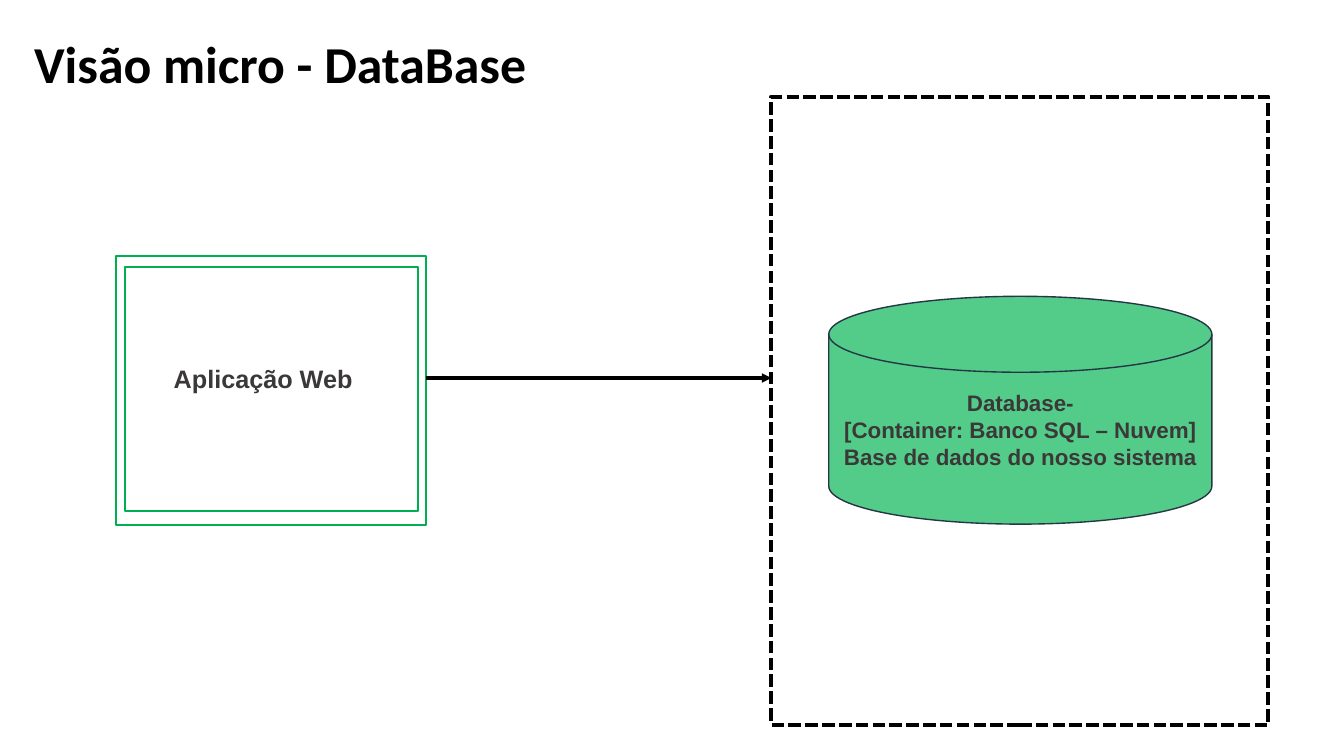
"""Build the slide that shows the web application and its database."""
from lxml import etree
from pptx import Presentation
from pptx.dml.color import RGBColor
from pptx.enum.dml import MSO_LINE
from pptx.enum.shapes import MSO_CONNECTOR, MSO_SHAPE
from pptx.enum.text import MSO_ANCHOR, PP_ALIGN
from pptx.oxml.ns import qn
from pptx.util import Inches, Pt

TITLE = "Visão micro - DataBase"
APP = "Aplicação Web"
STORE = """Database-
[Container: Banco SQL – Nuvem]
Base de dados do nosso sistema"""

BLACK, GRAY, NAVY = "000000", "3B3838", "253746"
GREEN, MINT = "00B050", "53CC89"

DISK = MSO_SHAPE.FLOWCHART_MAGNETIC_DISK
RECT = MSO_SHAPE.RECTANGLE
FRAME = (7.65, 0.96, 4.93, 6.23)
OUTER = (1.15, 2.54, 3.08, 2.67)
INNER = (1.24, 2.65, 2.91, 2.42)
SHAPES = [
    (DISK, (8.22, 2.94, 3.8, 2.26), MINT, NAVY, 1, None),
    (RECT, FRAME, None, BLACK, 3, MSO_LINE.SQUARE_DOT),
    (RECT, OUTER, None, GREEN, 1.5, None),
    (RECT, INNER, None, GREEN, 1.5, None),
]
TEXTS = [
    (TITLE, (0.24, 0.29, 11.32, 0.67), "Calibri", 37, BLACK, PP_ALIGN.LEFT),
    (STORE, (8.14, 3.83, 3.96, 0.86), "Arial", 16, GRAY, PP_ALIGN.CENTER),
    (APP, (1.07, 3.55, 3.08, 0.4), "Arial", 18, GRAY, PP_ALIGN.CENTER),
]


def color(code):
    return RGBColor.from_string(code)


def stroke(line, code, width):
    line.color.rgb = color(code)
    line.width = Pt(width)


def draw(kind, box, fill, edge, width, dash):
    shape = slide.shapes.add_shape(kind, *map(Inches, box))
    shape.shadow.inherit = False
    if fill:
        shape.fill.solid()
        shape.fill.fore_color.rgb = color(fill)
    else:
        shape.fill.background()
    stroke(shape.line, edge, width)
    if dash:
        shape.line.dash_style = dash


def write(text, box, face, size, code, align):
    frame = slide.shapes.add_textbox(*map(Inches, box)).text_frame
    frame.word_wrap = True
    frame.vertical_anchor = MSO_ANCHOR.MIDDLE
    frame.text = text
    for para in frame.paragraphs:
        para.alignment = align
        for run in para.runs:
            font = run.font
            font.name, font.size, font.bold = face, Pt(size), True
            font.color.rgb = color(code)


def arrow(start, end, level):
    link = slide.shapes.add_connector(
        MSO_CONNECTOR.STRAIGHT, *map(Inches, (start, level, end, level)))
    stroke(link.line, BLACK, 2.25)
    props = link.line._get_or_add_ln()
    etree.SubElement(props, qn("a:tailEnd"), type="triangle")
    etree.SubElement(props.getparent(), qn("a:effectLst"))


deck = Presentation()
deck.slide_width, deck.slide_height = Inches(13.33), Inches(7.5)
slide = deck.slides.add_slide(deck.slide_layouts[6])
for item in SHAPES:
    draw(*item)
arrow(OUTER[0] + OUTER[2], FRAME[0], 3.75)
for item in TEXTS:
    write(*item)
deck.save("out.pptx")
